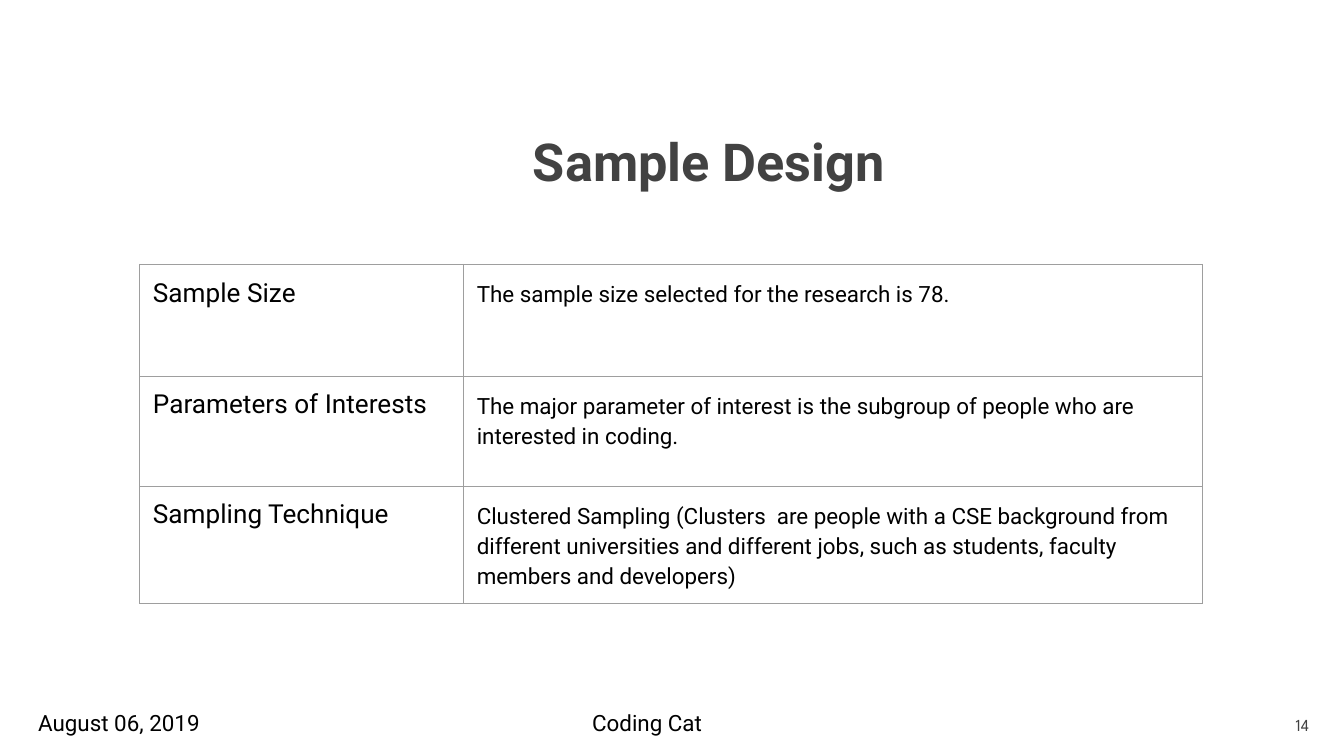
from dataclasses import dataclass

from lxml import etree
from pptx import Presentation
from pptx import util as u
from pptx.dml.color import RGBColor
from pptx.enum import text
from pptx.oxml import ns

HUES = {"page": "FFFFFF", "ink": "000000", "grey": "424242", "rule": "9E9E9E"}
ALIGN = text.PP_ALIGN
MID, TOP = text.MSO_ANCHOR.MIDDLE, text.MSO_ANCHOR.TOP
PAD = u.Cm(0.25)
SIDES = ("left", "top", "right", "bottom")


@dataclass
class Style:
    size: float
    hue: str = "ink"
    face: str = "Roboto"
    bold: bool = False
    align: ALIGN = ALIGN.CENTER


@dataclass
class Label:
    words: str
    left: float
    width: float
    style: Style
    anchor: text.MSO_ANCHOR = TOP


@dataclass
class Row:
    head: str
    note: str
    height: float


LABELS = [
    Label("14", 23.47, 1.52,
          Style(9, "grey", "League Spartan", align=ALIGN.RIGHT), MID),
    Label("August 06, 2019", 0, 4.5, Style(12)),
    Label("Coding Cat", 9.98, 4.5, Style(12)),
]
ROWS = [
    Row("Sample Size", "The sample size selected for the research is 78.", 2.11),
    Row("Parameters of Interests",
        "The major parameter of interest is the subgroup of people who are "
        "interested in coding.", 2.08),
    Row("Sampling Technique",
        "Clustered Sampling (Clusters  are people with a CSE background from "
        "different universities and different jobs, such as students, faculty "
        "members and developers)", 2.08),
]
COLS = (6.12, 13.97)
HEAD = Style(14, align=ALIGN.LEFT)
NOTE = Style(12, align=ALIGN.LEFT)
GAPS = {"line_spacing": 1.15, "space_after": u.Pt(12)}


def tint(name: str) -> RGBColor:
    return RGBColor.from_string(HUES[name])


def write(frame, words: str, style: Style, gaps: dict | None = None) -> None:
    frame.text = words
    para = frame.paragraphs[0]
    para.alignment = style.align
    for key, val in (gaps or {}).items():
        setattr(para, key, val)
    font = para.runs[0].font
    form = {"size": u.Pt(style.size), "name": style.face, "bold": style.bold}
    for key, val in form.items():
        setattr(font, key, val)
    font.color.rgb = tint(style.hue)


def pad(part) -> None:
    for side in SIDES:
        setattr(part, f"margin_{side}", PAD)


def fit(shape, left: float, top: float, width: float, height: float) -> None:
    spot = {"left": left, "top": top, "width": width, "height": height}
    for key, val in spot.items():
        setattr(shape, key, u.Cm(val))


def frame_up(shape, anchor: text.MSO_ANCHOR):
    frame = shape.text_frame
    pad(frame)
    frame.word_wrap = True
    frame.auto_size = text.MSO_AUTO_SIZE.NONE
    frame.vertical_anchor = anchor
    return frame


def rule(cell) -> None:
    props = cell._tc.get_or_add_tcPr()
    for spot, tag in enumerate(("a:lnL", "a:lnR", "a:lnT", "a:lnB")):
        line = etree.Element(ns.qn(tag), w=str(u.Pt(0.75)))
        fill = etree.SubElement(line, ns.qn("a:solidFill"))
        etree.SubElement(fill, ns.qn("a:srgbClr"), val=HUES["rule"])
        props.insert(spot, line)


def fill_cell(cell, words: str, style: Style, gaps: dict | None = None) -> None:
    write(cell.text_frame, words, style, gaps)
    pad(cell)
    cell.vertical_anchor = TOP
    cell.fill.background()
    rule(cell)


def add_label(slide, label: Label) -> None:
    box = slide.shapes.add_textbox(0, 0, 0, 0)
    fit(box, label.left, 13.16, label.width, 1.09)
    write(frame_up(box, label.anchor), label.words, label.style)


def add_grid(slide) -> None:
    high = sum(row.height for row in ROWS)
    grid = slide.shapes.add_table(len(ROWS), len(COLS), u.Cm(2.64), u.Cm(5),
                                  u.Cm(sum(COLS)), u.Cm(high)).table
    grid.first_row = grid.horz_banding = False
    for col, width in zip(grid.columns, COLS):
        col.width = u.Cm(width)
    for num, row in enumerate(ROWS):
        grid.rows[num].height = u.Cm(row.height)
        fill_cell(grid.cell(num, 0), row.head, HEAD)
        fill_cell(grid.cell(num, 1), row.note, NOTE, GAPS)


def main() -> None:
    deck = Presentation()
    deck.slide_width, deck.slide_height = u.Cm(25.4), u.Cm(14.29)
    slide = deck.slides.add_slide(deck.slide_layouts[5])
    slide.background.fill.solid()
    slide.background.fill.fore_color.rgb = tint("page")

    # Title
    title = slide.shapes.title
    fit(title, 3.63, 1.65, 19.53, 2.77)
    write(frame_up(title, MID), "Sample Design", Style(28, "grey", bold=True))

    # Sample table
    add_grid(slide)

    # Footer
    for label in LABELS:
        add_label(slide, label)

    deck.save("out.pptx")


if __name__ == "__main__":
    main()
